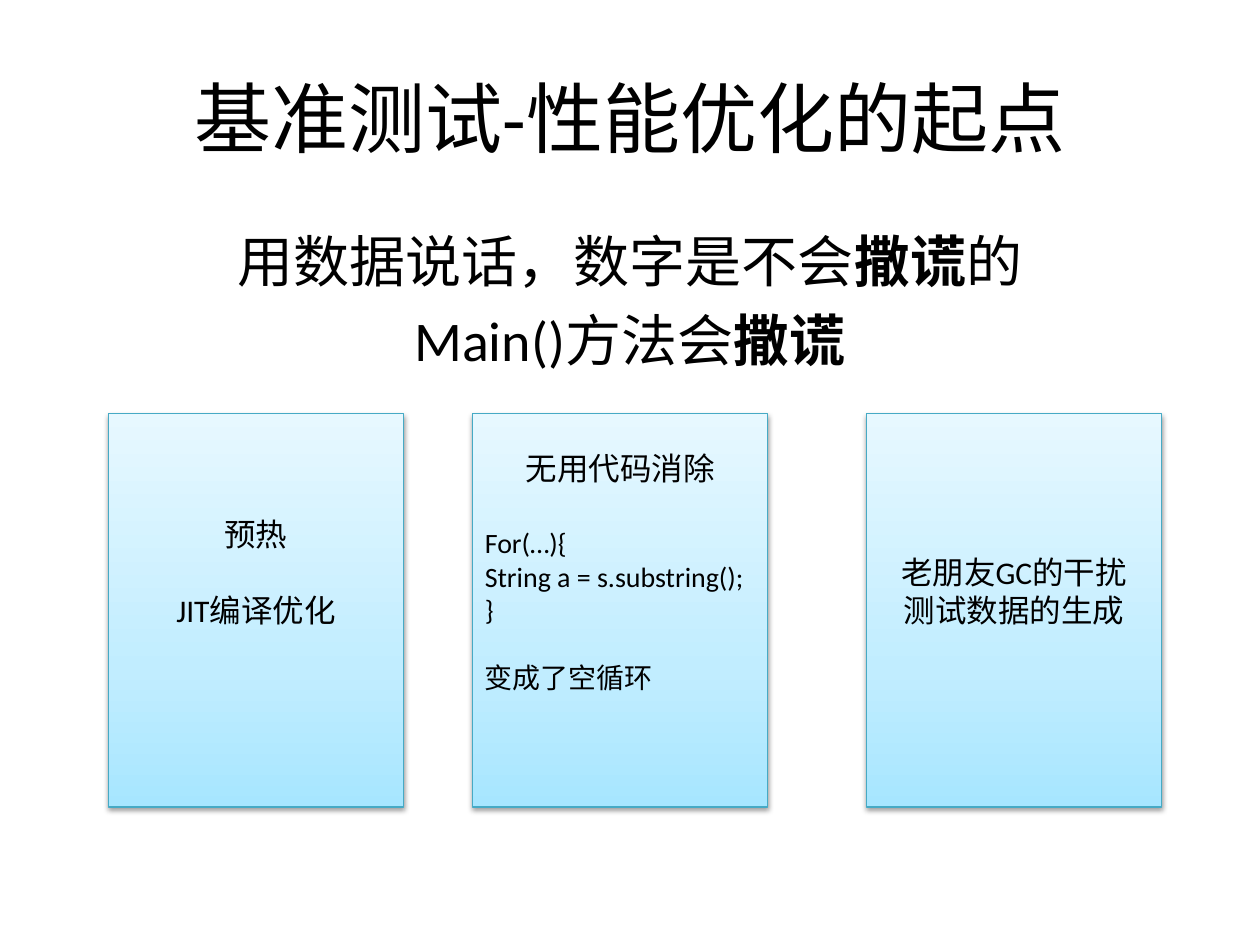
from lxml.etree import SubElement
from pptx import Presentation
from pptx.dml.color import RGBColor
from pptx.enum.lang import MSO_LANGUAGE_ID as Lang
from pptx.enum.shapes import MSO_SHAPE as Shape
from pptx.enum.text import MSO_ANCHOR as Anchor, PP_ALIGN as Align
from pptx.oxml.ns import qn
from pptx.util import Inches, Pt


def rgb(value):
    return RGBColor.from_string(value)


def add_text(p, text, size=18, bold=False, color="000000", font="Calibri"):
    r = p.add_run()
    r.text = text
    r.font.size, r.font.bold, r.font.name = Pt(size), bold, font
    r.font.color.rgb = rgb(color)
    r.font.language_id = Lang.SIMPLIFIED_CHINESE


def add_node(parent, tag, **attrs):
    return SubElement(parent, qn(tag), {k: str(v) for k, v in attrs.items()})


class Deck:
    """Holds the style and the current slide; places are percent of the slide."""
    stops = [(0, "A7E6FF"), (35, "C1EDFF"), (100, "E7F8FF")]
    border = "46AAC5"

    def __init__(self, prs):
        self.prs = prs
        self.s = prs.slides.add_slide(prs.slide_layouts[6])

    def place(self, x, y, w, h):
        width, height = self.prs.slide_width, self.prs.slide_height
        return [int(v * full / 100) for v, full in
                ((x, width), (y, height), (w, width), (h, height))]

    def fill_frame(self, tf, lines, anchor):
        """Each line is (runs, size, align, gap before in points)."""
        tf.word_wrap, tf.vertical_anchor = True, anchor
        for i, (runs, size, align, gap) in enumerate(lines):
            p = tf.add_paragraph() if i else tf.paragraphs[0]
            p.alignment, p.space_before = align, Pt(gap)
            for text, bold in runs:
                add_text(p, text, size=size, bold=bold)

    def text(self, at, lines, anchor=Anchor.TOP):
        box = self.s.shapes.add_textbox(*self.place(*at))
        self.fill_frame(box.text_frame, lines, anchor)

    def card(self, at, lines, room_below):
        sp = self.s.shapes.add_shape(Shape.RECTANGLE, *self.place(*at))
        sp.line.color.rgb, sp.line.width = rgb(self.border), Pt(0.75)
        # Three-stop gradient, running upwards
        sp.fill.gradient()
        sp.fill.gradient_angle = 90
        stops = sp.element.spPr.find(".//" + qn("a:gsLst"))
        stops[:] = []
        for pos, color in self.stops:
            gs = add_node(stops, "a:gs", pos=pos * 1000)
            add_node(gs, "a:srgbClr", val=color)
        # Soft shadow straight below
        sp.shadow.inherit = False
        effects = sp.element.spPr.find(qn("a:effectLst"))
        shadow = add_node(effects, "a:outerShdw", blurRad=Pt(3.1), dist=Pt(1.6),
                          dir=90 * 60000, rotWithShape=0)
        black = add_node(shadow, "a:srgbClr", val="000000")
        add_node(black, "a:alpha", val=38000)
        # Centred text, lifted by the room kept below it
        tf = sp.text_frame
        tf.margin_bottom = Inches(0.05) + Pt(room_below)
        self.fill_frame(tf, lines, Anchor.MIDDLE)


def line(*runs, size=18, align=Align.CENTER, gap=0):
    return [r if isinstance(r, tuple) else (r, False) for r in runs], size, align, gap


def code(text, gap=0):
    return line(text, size=16, align=Align.LEFT, gap=gap)


def main():
    prs = Presentation()
    prs.slide_width, prs.slide_height = Inches(10), Inches(7.5)
    deck = Deck(prs)

    # Title and statement
    deck.text((5, 4, 90, 16.67), [line("基准测试-性能优化的起点", size=44)], Anchor.MIDDLE)
    lie = ("撒谎", True)
    deck.text((5, 23.33, 90, 66), [
        line("用数据说话，数字是不会", lie, "的", size=32),
        line("Main()方法会", lie, size=32, gap=6.4)])

    # Three cards: left edge, lines, room below the text
    row = 22
    cards = [
        (8.6, [line("预热"), line("JIT编译优化", gap=row)], 2 * row),
        (37.5, [line("无用代码消除"), code("For(…){", gap=row),
                code("String a = s.substring();"), code("}"),
                code("变成了空循环", gap=19.5)], 2 * row),
        (68.75, [line("老朋友GC的干扰"), line("测试数据的生成")], row),
    ]
    for left, lines, room in cards:
        deck.card((left, 43.75, 23.44, 41.67), lines, room)

    prs.save("out.pptx")


if __name__ == "__main__":
    main()
